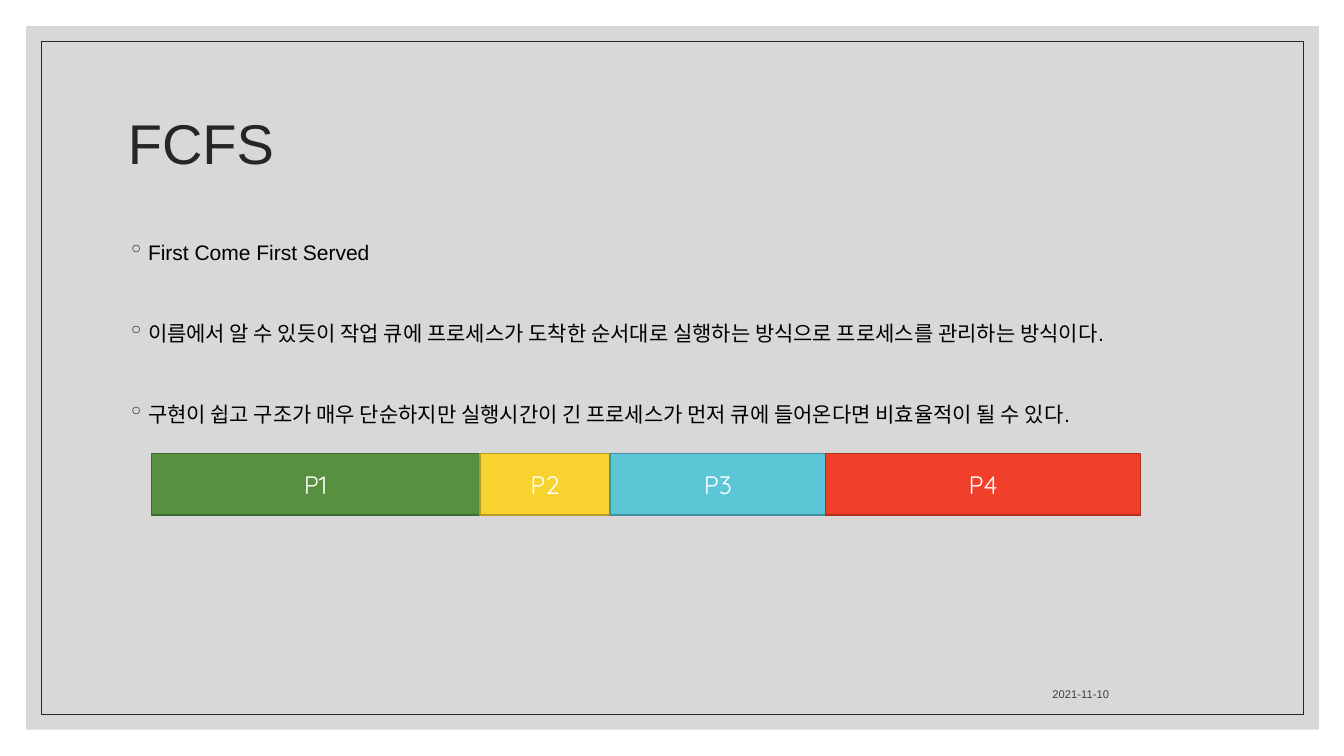
from itertools import pairwise

from pptx import Presentation
from pptx.dml.color import RGBColor as Rgb
from pptx.enum.shapes import MSO_SHAPE as Kind
from pptx.enum.text import MSO_ANCHOR as Anchor, PP_ALIGN as Align
from pptx.oxml.ns import qn
from pptx.oxml.xmlchemy import OxmlElement as Node
from pptx.util import Emu, Pt

SCALE = 9144  # EMU per px, 100 px to the inch

COLORS = {
    "panel": "BFBFBF", "ink": "262626", "text": "000000", "date": "404040",
    "white": "FFFFFF",
    "P1": "57903F", "P1 edge": "406B2F",
    "P2": "F8D22F", "P2 edge": "B79B23",
    "P3": "5CC6D6", "P3 edge": "44929E",
    "P4": "F03F2B", "P4 edge": "B22F20",
}


def px(n):
    return Emu(n * SCALE)


def color(name):
    return Rgb.from_string(COLORS[name])


class Deck:
    def __init__(self, width, height):
        self.prs = Presentation()
        self.prs.slide_width, self.prs.slide_height = px(width), px(height)
        self.slide = self.prs.slides.add_slide(self.prs.slide_layouts[6])
        self.font = "Arial"

    def rect(self, box, fill=None, edge=None, weight=1.0, alpha=None):
        shape = self.slide.shapes.add_shape(Kind.RECTANGLE, *map(px, box))
        shape.shadow.inherit = False
        if fill:
            shape.fill.solid()
            shape.fill.fore_color.rgb = color(fill)
        else:
            shape.fill.background()
        if alpha:
            node = Node("a:alpha")
            node.set("val", str(alpha * 1000))
            next(shape.element.spPr.iter(qn("a:srgbClr"))).append(node)
        if edge:
            shape.line.color.rgb = color(edge)
            shape.line.width = Pt(weight)
        else:
            shape.line.fill.background()
        return shape

    def put(self, para, text, size, tint, font=None):
        run = para.add_run()
        run.text = text
        run.font.size = Pt(size)
        run.font.name = font or self.font
        run.font.color.rgb = color(tint)

    def frame(self, box, anchor):
        frame = self.slide.shapes.add_textbox(*map(px, box)).text_frame
        frame.word_wrap = True
        frame.vertical_anchor = anchor
        return frame

    def label(self, box, text, size, tint, anchor, align=Align.LEFT, spacing=1.0):
        para = self.frame(box, anchor).paragraphs[0]
        para.alignment = align
        para.line_spacing = spacing
        self.put(para, text, size, tint)

    def bullets(self, box, items, size, tint, mark, gap):
        frame = self.frame(box, Anchor.TOP)
        for i, item in enumerate(items):
            para = frame.add_paragraph() if i else frame.paragraphs[0]
            para.line_spacing = 1.1
            para.space_before = Pt(gap if i else 9)
            props = para._p.get_or_add_pPr()
            props.set("marL", str(px(20)))
            props.set("indent", str(px(-20)))
            tone, rgb, sign = Node("a:buClr"), Node("a:srgbClr"), Node("a:buChar")
            rgb.set("val", COLORS[mark])
            tone.append(rgb)
            sign.set("char", "◦")
            props.extend([tone, sign])
            self.put(para, item, size, tint)

    def block(self, box, name):
        frame = self.rect(box, name, name + " edge").text_frame
        frame.vertical_anchor = Anchor.MIDDLE
        para = frame.paragraphs[0]
        para.alignment = Align.CENTER
        self.put(para, name, 18, "white", "Quicksand")


def main():
    deck = Deck(1333, 750)

    # Panel and thin frame
    deck.rect((26, 26, 1282, 698), "panel", alpha=60)
    deck.rect((41, 41, 1252, 668), edge="ink", weight=0.5)

    # Title, points and date
    deck.label((117, 70, 1100, 150), "FCFS", 40, "ink", Anchor.MIDDLE, spacing=0.9)
    points = [
        "First Come First Served",
        "이름에서 알 수 있듯이 작업 큐에 프로세스가 도착한 순서대로 실행하는 방식으로 프로세스를 관리하는 방식이다.",
        "구현이 쉽고 구조가 매우 단순하지만 실행시간이 긴 프로세스가 먼저 큐에 들어온다면 비효율적이 될 수 있다.",
    ]
    deck.bullets((117, 230, 1100, 421), points, 15, "text", "ink", gap=38)
    deck.label((794, 660, 316, 40), "2021-11-10", 8, "date", Anchor.BOTTOM, Align.RIGHT)

    # Process queue, each block starting where the last one ends
    cuts = [150, 476, 605, 819, 1131]
    for i, (left, right) in enumerate(pairwise(cuts), 1):
        deck.block((left, 450, right - left, 61), f"P{i}")

    deck.prs.save("out.pptx")


if __name__ == "__main__":
    main()
